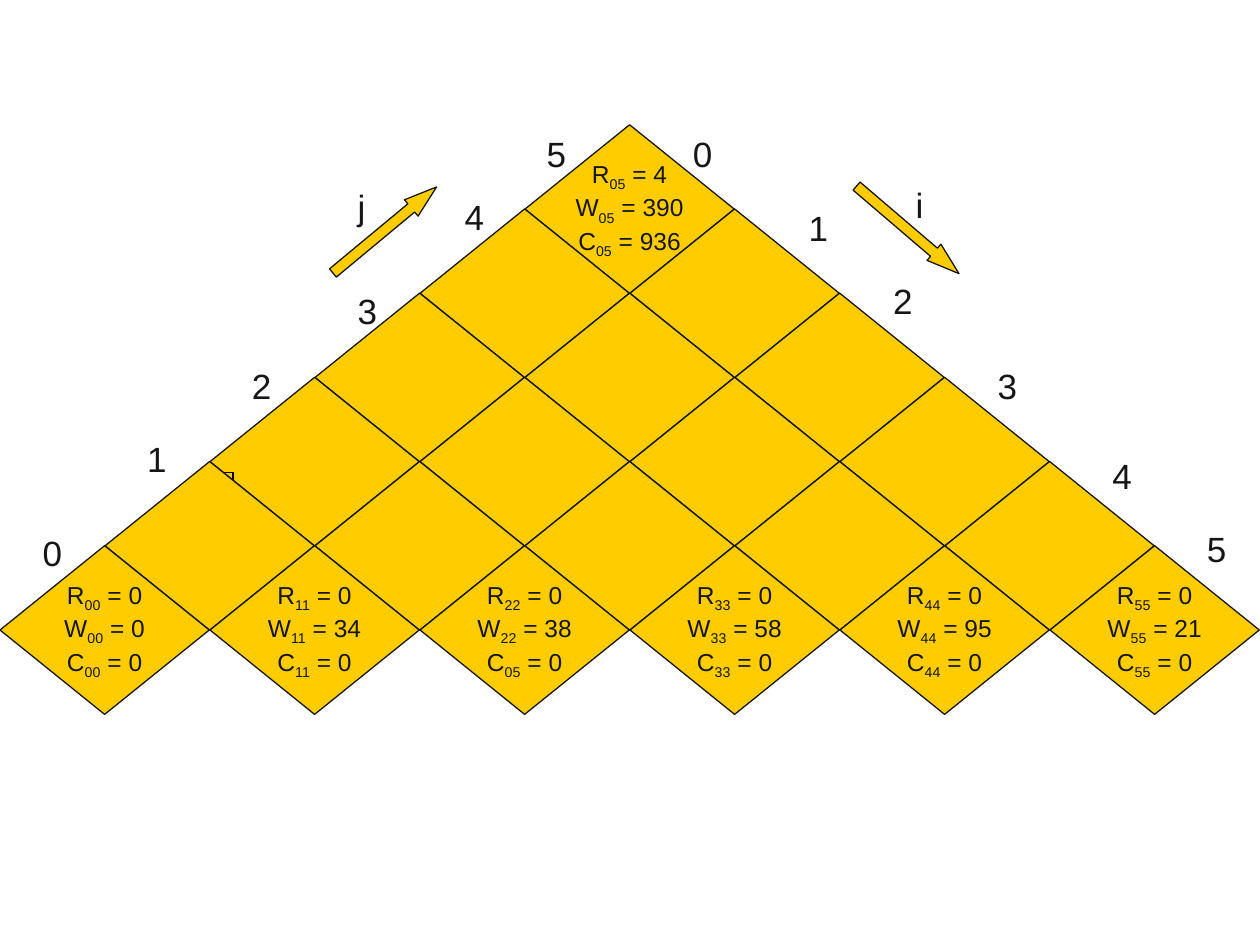
"""Builds a slide with the triangular table of R, W and C values."""
import pptx
import pptx.dml.color
import pptx.enum.shapes
import pptx.enum.text
import pptx.util

Pt = pptx.util.Pt
SHAPES = pptx.enum.shapes.MSO_SHAPE
INK, GOLD, BLACK = "161616", "FFCC00", "000000"

CELL_TEXTS = {
    (0, 0): [("R", "05", 4), ("W", "05", 390), ("C", "05", 936)],
    (5, 0): [("R", "00", 0), ("W", "00", 0), ("C", "00", 0)],
    (5, 1): [("R", "11", 0), ("W", "11", 34), ("C", "11", 0)],
    (5, 2): [("R", "22", 0), ("W", "22", 38), ("C", "05", 0)],
    (5, 3): [("R", "33", 0), ("W", "33", 58), ("C", "33", 0)],
    (5, 4): [("R", "44", 0), ("W", "44", 95), ("C", "44", 0)],
    (5, 5): [("R", "55", 0), ("W", "55", 21), ("C", "55", 0)],
}
J_POSITIONS = [(17.3, 300.2), (77, 246.2), (136.8, 204.5), (197.3, 162), (258.5, 108), (305.3, 72)]
I_POSITIONS = [(388.8, 72), (455, 114.5), (503.3, 156.2), (563, 204.5), (628.6, 256.3), (682.6, 298.1)]
AXIS_NAMES = [("j", 197.3, 102.2), ("i", 516.2, 101.5)]
ARROWS = [(181.4, 320.3), (480.2, 40.5)]

ROWS, TOP, APEX_LEFT = 6, 71.3, 300
PITCH, ROW_STEP = 120, 48.1
CELL_WIDTH, CELL_HEIGHT = 119.6, 96.4


def color(value):
    return pptx.dml.color.RGBColor.from_string(value)


def add_shape(page, kind, left, top, width, height, fill=GOLD, line=INK):
    shape = page.shapes.add_shape(kind, Pt(left), Pt(top), Pt(width), Pt(height))
    shape.shadow.inherit = False
    if fill:
        shape.fill.solid()
        shape.fill.fore_color.rgb = color(fill)
    else:
        shape.fill.background()
    shape.line.color.rgb = color(line)
    shape.line.width = Pt(0.75)
    return shape


def set_font(para, size):
    para.font.name = "Arial"
    para.font.size = Pt(size)
    para.font.color.rgb = color(INK)


def write_values(shape, values):
    frame = shape.text_frame
    frame.word_wrap = False
    frame.vertical_anchor = pptx.enum.text.MSO_ANCHOR.MIDDLE
    for number, (name, index, value) in enumerate(values):
        para = frame.add_paragraph() if number else frame.paragraphs[0]
        para.alignment = pptx.enum.text.PP_ALIGN.CENTER
        set_font(para, 14)
        for text in (name, index, f" = {value}"):
            span = para.add_run()
            span.text = text
            if text == index:
                span.font._element.set("baseline", "-25000")


def add_label(page, text, left, top):
    width = 18.9 if text in "ij" else 25.5
    box = page.shapes.add_textbox(Pt(left), Pt(top), Pt(width), Pt(31.5))
    box.text_frame.word_wrap = False
    box.text_frame.auto_size = pptx.enum.text.MSO_AUTO_SIZE.SHAPE_TO_FIT_TEXT
    box.text_frame.text = text
    set_font(box.text_frame.paragraphs[0], 20)


def add_row(page, row):
    for column in range(row + 1):
        left = APEX_LEFT + PITCH * (column - row / 2)
        cell = add_shape(page, SHAPES.DIAMOND, left, TOP + ROW_STEP * row, CELL_WIDTH, CELL_HEIGHT)
        if (row, column) in CELL_TEXTS:
            write_values(cell, CELL_TEXTS[row, column])


def main():
    deck = pptx.Presentation()
    deck.slide_width, deck.slide_height = Pt(720), Pt(540)
    page = deck.slides.add_slide(deck.slide_layouts[6])

    for row in range(ROWS):
        if row == 4:
            add_shape(page, SHAPES.RECTANGLE, 118.8, 270, 14.4, 31, fill=None, line=BLACK)
        add_row(page, row)

    for left, angle in ARROWS:
        arrow = add_shape(page, SHAPES.RIGHT_ARROW, left, 125.3, 77, 12.2)
        arrow.adjustments[0], arrow.adjustments[1] = 0.5, 1.54
        arrow.rotation = angle

    for positions in (J_POSITIONS, I_POSITIONS):
        for number, (left, top) in enumerate(positions):
            add_label(page, str(number), left, top)
    for name, left, top in AXIS_NAMES:
        add_label(page, name, left, top)

    deck.save("out.pptx")


if __name__ == "__main__":
    main()
